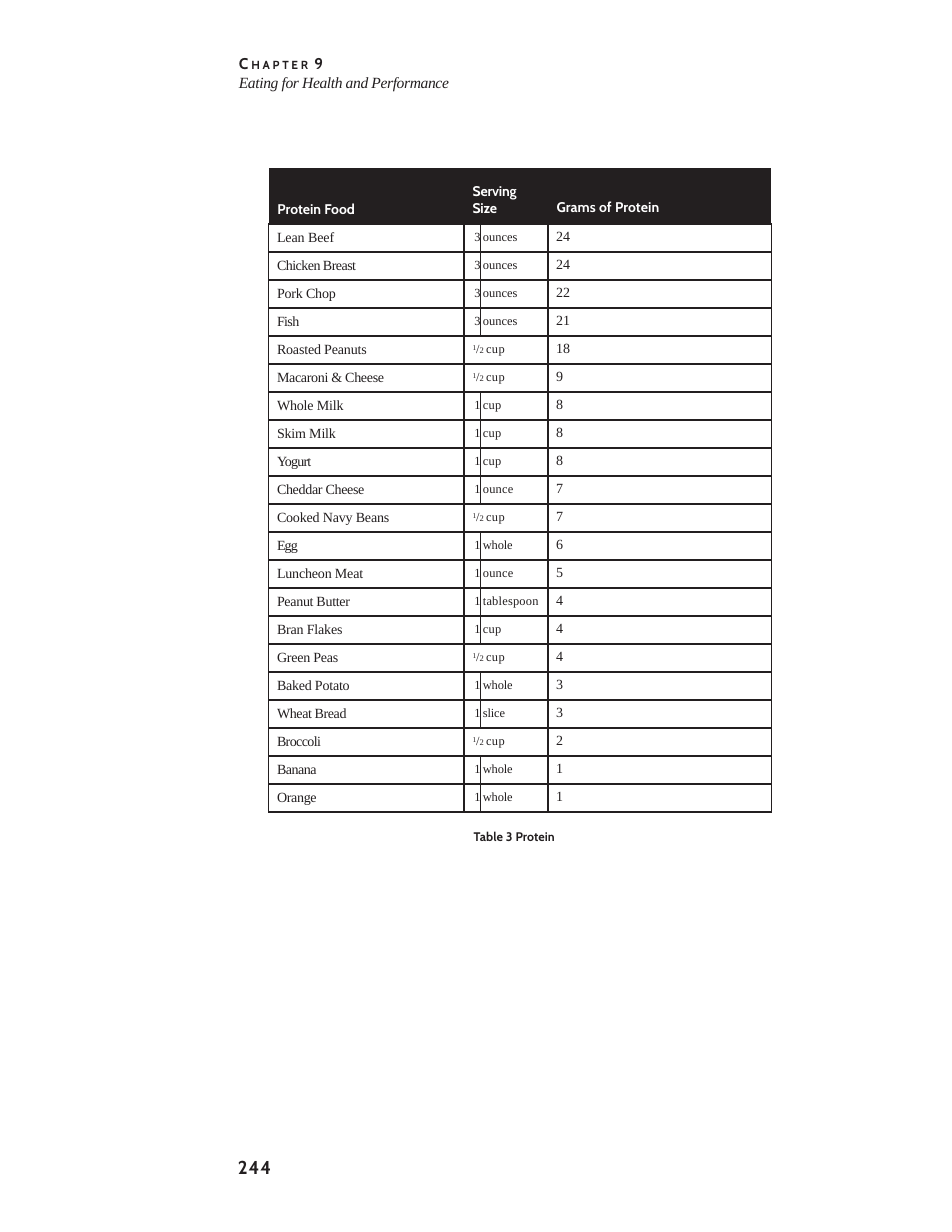
from dataclasses import dataclass

from lxml.etree import SubElement
from pptx import Presentation
from pptx.dml.color import RGBColor
from pptx.enum.text import MSO_ANCHOR, MSO_AUTO_SIZE, PP_ALIGN
from pptx.oxml.ns import qn
from pptx.util import Pt


@dataclass(frozen=True)
class Theme:
    ink: RGBColor = RGBColor(0x23, 0x1F, 0x20)
    paper: RGBColor = RGBColor(0xFF, 0xFF, 0xFF)
    heading: str = "Cabin"
    body: str = "Times New Roman"
    folio_size: float = 12
    chapter_size: float = 10
    small_caps_size: float = 7.5
    cell_size: float = 9
    serving_size: float = 8
    numerator_size: float = 8.2
    denominator_size: float = 5.5
    border: float = 1


FOODS = [
    ("Lean Beef", -0.05, "3", "ounces", 0, "24"),
    ("Chicken Breast", -0.35, "3", "ounces", 0, "24"),
    ("Pork Chop", -0.1, "3", "ounces", 0, "22"),
    ("Fish", -0.4, "3", "ounces", 0, "21"),
    ("Roasted Peanuts", -0.12, "½", "cup", 0.2, "18"),
    ("Macaroni & Cheese", -0.2, "½", "cup", 0.2, "9"),
    ("Whole Milk", -0.1, "1", "cup", 0.1, "8"),
    ("Skim Milk", -0.1, "1", "cup", 0.1, "8"),
    ("Yogurt", -0.5, "1", "cup", 0.1, "8"),
    ("Cheddar Cheese", -0.2, "1", "ounce", 0.1, "7"),
    ("Cooked Navy Beans", -0.1, "½", "cup", 0.2, "7"),
    ("Egg", -0.5, "1", "whole", -0.1, "6"),
    ("Luncheon Meat", -0.1, "1", "ounce", 0.1, "5"),
    ("Peanut Butter", -0.2, "1", "tablespoon", 0.1, "4"),
    ("Bran Flakes", -0.1, "1", "cup", 0.1, "4"),
    ("Green Peas", -0.15, "½", "cup", 0.2, "4"),
    ("Baked Potato", -0.13, "1", "whole", -0.1, "3"),
    ("Wheat Bread", -0.25, "1", "slice", -0.1, "3"),
    ("Broccoli", -0.4, "½", "cup", 0.2, "2"),
    ("Banana", -0.3, "1", "whole", -0.1, "1"),
    ("Orange", -0.2, "1", "whole", -0.1, "1"),
]
HEADINGS = [(0, "Protein Food", 0, 21.2), (1, "Serving Size", -0.1, 9.5), (3, "Grams of Protein", 0.05, 20.2)]
COLUMN_WIDTHS = [125.5, 10.7, 43.3, 143.5]
HEADER_HEIGHT, ROW_HEIGHT = 36, 18


class Page:
    """Holds the theme and the current slide, and adds elements to it."""

    def __init__(self, presentation, theme):
        self.theme = theme
        self.slide = presentation.slides.add_slide(presentation.slide_layouts[5])

    def style(self, paragraph, size, name, color=None, bold=False, italic=False):
        font = paragraph.font
        font.size, font.name, font.bold, font.italic = Pt(size), name, bold, italic
        font.color.rgb = color or self.theme.ink

    def run(self, paragraph, text, spacing=0, size=None, baseline=0):
        run = paragraph.add_run()
        run.text = text
        if size:
            run.font.size = Pt(size)
        properties = run._r.get_or_add_rPr()
        properties.set("spc", str(round(spacing * 100)))
        if baseline:
            properties.set("baseline", str(baseline * 1000))

    def frame(self, shape, left, top, width, height):
        shape.left, shape.top, shape.width, shape.height = Pt(left), Pt(top), Pt(width), Pt(height)
        frame = shape.text_frame
        frame.word_wrap = True
        frame.auto_size = MSO_AUTO_SIZE.NONE
        frame.vertical_anchor = MSO_ANCHOR.TOP
        frame.margin_left = frame.margin_top = Pt(1)
        frame.margin_right = frame.margin_bottom = 0
        return frame

    def title(self, subtitle, left, top, width, height):
        theme = self.theme
        frame = self.frame(self.slide.shapes.title, left, top, width, height)
        chapter, section = frame.paragraphs[0], frame.add_paragraph()
        chapter.alignment = section.alignment = PP_ALIGN.LEFT
        self.style(chapter, theme.chapter_size, theme.heading, bold=True)
        self.run(chapter, "C", 1.9)
        self.run(chapter, "HAPTER", 1.7, theme.small_caps_size)
        self.run(chapter, " 9")
        self.style(section, theme.chapter_size, theme.body, italic=True)
        self.run(section, subtitle, -0.22)

    def label(self, text, size, spacing, left, top, width, height):
        box = self.slide.shapes.add_textbox(0, 0, 0, 0)
        paragraph = self.frame(box, left, top, width, height).paragraphs[0]
        self.style(paragraph, size, self.theme.heading, bold=True)
        self.run(paragraph, text, spacing)

    def cell(self, cell, left, top, right=0, header=False):
        cell.margin_left, cell.margin_top, cell.margin_right = Pt(left), Pt(top), Pt(right)
        cell.margin_bottom = 0
        properties = cell._tc.get_or_add_tcPr()
        for side in ("a:lnL", "a:lnR", "a:lnT", "a:lnB"):
            line = SubElement(properties, qn(side), w=str(Pt(self.theme.border)))
            if header:
                SubElement(line, qn("a:noFill"))
            else:
                fill = SubElement(line, qn("a:solidFill"))
                SubElement(fill, qn("a:srgbClr"), val=str(self.theme.ink))
        if header:
            cell.fill.solid()
            cell.fill.fore_color.rgb = self.theme.ink
        else:
            cell.fill.background()
        return cell.text_frame.paragraphs[0]

    def serving(self, table, row, amount, unit, spacing):
        theme = self.theme
        first, second = table.cell(row, 1), table.cell(row, 2)
        if amount == "½":
            first.merge(second)
            paragraph = self.cell(first, 5.5, 4)
            self.style(paragraph, theme.serving_size, theme.body)
            self.run(paragraph, "1", -1.4, theme.numerator_size, 25)
            self.run(paragraph, "/", -0.7)
            self.run(paragraph, "2 ", 0, theme.denominator_size)
            self.run(paragraph, unit, spacing)
            return
        number, measure = self.cell(first, 0, 3.9), self.cell(second, 1.5, 3.9)
        number.alignment = PP_ALIGN.RIGHT
        for paragraph, text, tracking in ((number, amount, 0), (measure, unit, spacing)):
            self.style(paragraph, theme.serving_size, theme.body)
            self.run(paragraph, text, tracking)

    def protein_table(self, left, top):
        theme = self.theme
        rows = len(FOODS) + 1
        height = HEADER_HEIGHT + ROW_HEIGHT * len(FOODS)
        table = self.slide.shapes.add_table(
            rows, len(COLUMN_WIDTHS), Pt(left), Pt(top), Pt(sum(COLUMN_WIDTHS)), Pt(height)
        ).table
        table.horz_banding = False
        for column, width in zip(table.columns, COLUMN_WIDTHS):
            column.width = Pt(width)
        for index, row in enumerate(table.rows):
            row.height = Pt(ROW_HEIGHT if index else HEADER_HEIGHT)
        table.cell(0, 1).merge(table.cell(0, 2))
        for column, text, spacing, inset in HEADINGS:
            right = 12 if column == 1 else 0
            paragraph = self.cell(table.cell(0, column), 5.5, inset, right, header=True)
            self.style(paragraph, theme.cell_size, theme.heading, theme.paper, bold=True)
            self.run(paragraph, text, spacing)
        for row, (food, tracking, amount, unit, spacing, grams) in enumerate(FOODS, 1):
            for column, text, letter_spacing, inset in ((0, food, tracking, 3.8), (3, grams, -0.05, 3.1)):
                paragraph = self.cell(table.cell(row, column), 5.3, inset)
                self.style(paragraph, theme.cell_size, theme.body)
                self.run(paragraph, text, letter_spacing)
            self.serving(table, row, amount, unit, spacing)


def main():
    presentation = Presentation()
    presentation.slide_width, presentation.slide_height = Pt(612), Pt(792)
    theme = Theme()
    page = Page(presentation, theme)
    page.title("Eating for Health and Performance", 152.6, 34, 160, 26)
    page.protein_table(172.8, 108)
    page.label("Table 3 Protein", theme.serving_size, 0.03, 303.5, 532, 65, 12)
    page.label("244", theme.folio_size, 0.6, 152, 742.3, 27, 17)
    presentation.save("out.pptx")


if __name__ == "__main__":
    main()
